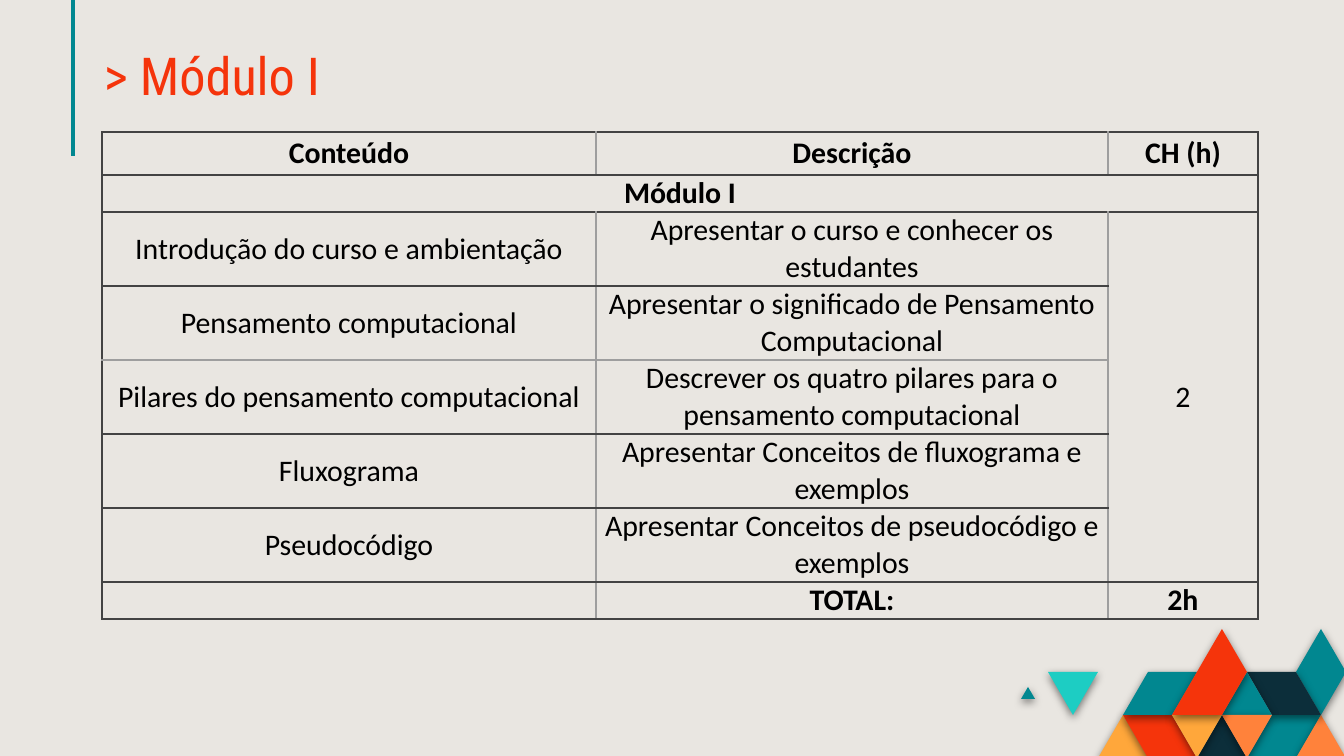
"""Build the Módulo I course plan slide."""
from lxml.etree import SubElement
from pptx import Presentation
from pptx.dml.color import RGBColor as RGB
from pptx.enum.shapes import MSO_CONNECTOR as CONNECTOR
from pptx.enum.text import MSO_ANCHOR as ANCHOR, PP_ALIGN as ALIGN
from pptx.oxml import parse_xml
from pptx.oxml.ns import nsdecls, qn
from pptx.util import Emu, Pt

SCALE = 914400 / 134.4
COLORS = {
    "background": "E9E6E1", "teal": "018790", "red": "F5340B", "amber": "FFA73B",
    "orange": "FF823B", "navy": "0C2E3A", "aqua": "1DCDC3", "text": "000000",
    "dark": "434343", "light": "9E9E9E",
}


def px(length):
    return Emu(round(length * SCALE))


def color(name):
    return RGB.from_string(COLORS[name])


prs = Presentation()
prs.slide_width, prs.slide_height = px(1344), px(756)
slide = prs.slides.add_slide(prs.slide_layouts[6])
slide.background.fill.solid()
slide.background.fill.fore_color.rgb = color("background")

accent = slide.shapes.add_connector(CONNECTOR.STRAIGHT, px(73), px(0), px(73), px(156))
accent.line.color.rgb = color("teal")
accent.line.width = Pt(2.25)
SubElement(accent._element.spPr, qn("a:effectLst"))

LEFT, TOP, STEP_X, STEP_Y = 1098, 629, 24.8, 43
tiles = [
    ("amber", [(0, 3), (1, 2), (2, 3)]),
    ("red", [(1, 2), (3, 2), (4, 3), (2, 3)]),
    ("teal", [(6, 3), (7, 2), (9, 2), (8, 3)]),
    ("orange", [(8, 3), (9, 2), (10, 3)]),
    ("navy", [(4, 3), (5, 2), (6, 3)]),
    ("teal", [(1, 2), (2, 1), (4, 1), (3, 2)]),
    ("aqua", [(-2, 1), (0, 1), (-1, 2)]),
    ("teal", [(8, 1), (9, 0), (10, 1), (9, 2)]),
    ("navy", [(6, 1), (8, 1), (9, 2), (7, 2)]),
    ("teal", [(5, 2), (6, 1), (7, 2)]),
    ("orange", [(5, 2), (7, 2), (6, 3)]),
    ("amber", [(3, 2), (5, 2), (4, 3)]),
    ("red", [(3, 2), (5, 0), (6, 1), (5, 2)]),
]
outlines = [("teal", [(1021, 699), (1028, 687), (1035, 699)])]
for fill, corners in tiles:
    outlines.append((fill, [(round(LEFT + STEP_X * i), TOP + STEP_Y * j) for i, j in corners]))

mosaic = slide.shapes.add_group_shape()
for fill, points in outlines:
    builder = mosaic.shapes.build_freeform(*points[0], scale=SCALE)
    builder.add_line_segments(points[1:], close=True)
    tile = builder.convert_to_shape()
    tile.fill.solid()
    tile.fill.fore_color.rgb = color(fill)
    tile.line.fill.background()
    tile._element.spPr.append(parse_xml(
        f'<a:effectLst {nsdecls("a")}><a:outerShdw blurRad="57150" dist="19050" '
        'dir="5400000" algn="bl" rotWithShape="0"><a:srgbClr val="000000">'
        '<a:alpha val="49000"/></a:srgbClr></a:outerShdw></a:effectLst>'))

title = slide.shapes.add_textbox(px(91), px(38), px(656), px(85)).text_frame
title.word_wrap = True
title.vertical_anchor = ANCHOR.MIDDLE
title.margin_left = title.margin_right = title.margin_top = title.margin_bottom = px(13)
heading = title.paragraphs[0]
heading.text = "> Módulo I"
heading.line_spacing = 0.8
heading.font.name = "Roboto Condensed"
heading.font.size = Pt(28)
heading.font.color.rgb = color("red")

lessons = [
    ("Conteúdo", "Descrição", "CH (h)"),
    ("Módulo I", "", ""),
    ("Introdução do curso e ambientação", "Apresentar o curso e conhecer os estudantes", "2"),
    ("Pensamento computacional", "Apresentar o significado de Pensamento Computacional", ""),
    ("Pilares do pensamento computacional",
     "Descrever os quatro pilares para o pensamento computacional", ""),
    ("Fluxograma", "Apresentar Conceitos de fluxograma e exemplos", ""),
    ("Pseudocódigo", "Apresentar Conceitos de pseudocódigo e exemplos", ""),
    ("", "TOTAL:", "2h"),
]
widths = [494, 512, 150]
heights = [43, 37] + [74] * 5 + [37]
plan = slide.shapes.add_table(len(heights), len(widths), px(102), px(132),
                              px(sum(widths)), px(sum(heights))).table
plan.first_row = plan.horz_banding = False
for column, width in zip(plan.columns, widths):
    column.width = px(width)
for row, height in zip(plan.rows, heights):
    row.height = px(height)
plan.cell(1, 0).merge(plan.cell(1, 2))
plan.cell(2, 2).merge(plan.cell(6, 2))

for r, lesson in enumerate(lessons):
    for c, words in enumerate(lesson):
        cell = plan.cell(r, c)
        cell.fill.background()
        cell.vertical_anchor = ANCHOR.MIDDLE
        cell.margin_left = cell.margin_right = cell.margin_top = cell.margin_bottom = 0
        entry = cell.text_frame.paragraphs[0]
        entry.alignment = ALIGN.CENTER
        if words:
            entry.text = words
            entry.font.name = "Calibri"
            entry.font.size = Pt(16)
            entry.font.bold = r in (0, 1, 7)
            entry.font.color.rgb = color("text")
        else:
            entry._p.get_or_add_endParaRPr().set("sz", "1600")
        borders = {
            "lnL": "dark" if c == 0 else "light",
            "lnR": "dark" if c == 2 or r == 1 else "light",
            "lnT": "light" if r == 4 and c < 2 else "dark",
            "lnB": "light" if r == 3 and c < 2 else "dark",
        }
        if cell.is_spanned:
            borders = {"lnR": "dark"} if c == 2 else {}
        for position, (side, shade) in enumerate(borders.items()):
            weight = Pt(1) if shade == "dark" else Pt(0.75)
            cell._tc.get_or_add_tcPr().insert(position, parse_xml(
                f'<a:{side} {nsdecls("a")} w="{weight}"><a:solidFill>'
                f'<a:srgbClr val="{COLORS[shade]}"/></a:solidFill></a:{side}>'))

prs.save("out.pptx")
